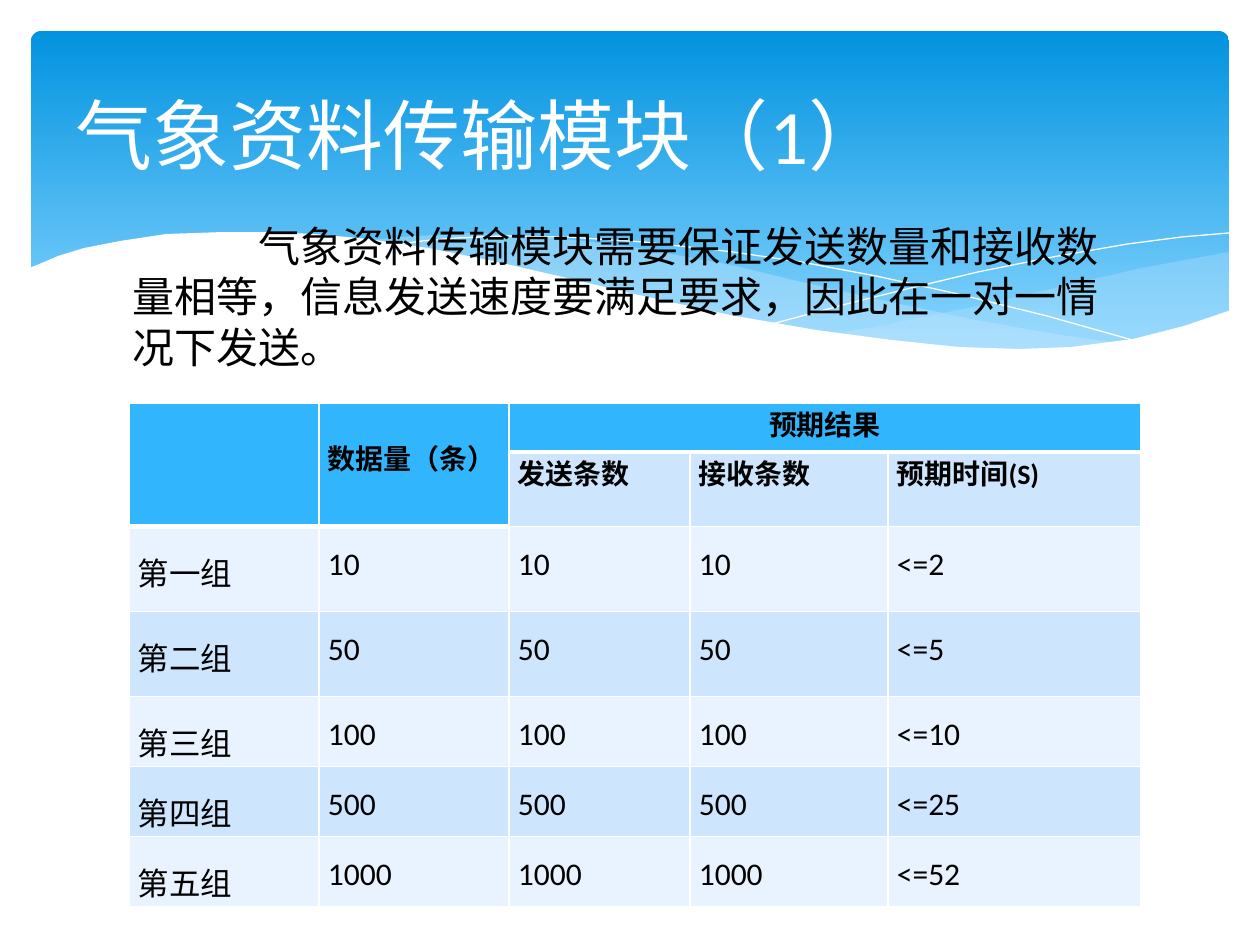
from lxml.etree import SubElement
from pptx import Presentation
from pptx.dml.color import RGBColor
from pptx.enum.shapes import MSO_SHAPE
from pptx.enum.text import MSO_ANCHOR, PP_ALIGN
from pptx.oxml import parse_xml
from pptx.oxml.ns import nsdecls, qn
from pptx.util import Pt

EMU_PER_PX = 914400 / 126
FONT = "Calibri"
WHITE = RGBColor(0xFF, 0xFF, 0xFF)
BLACK = RGBColor(0, 0, 0)
SKY_DARK = RGBColor(0x02, 0x93, 0xE0)
SKY_LIGHT = RGBColor(0x83, 0xD3, 0xFE)
WAVE_BLUE = RGBColor(0xC6, 0xE7, 0xFC)
HEADER_BLUE = RGBColor(0x31, 0xB6, 0xFD)
BAND_DARK = RGBColor(0xCE, 0xE5, 0xFE)
BAND_LIGHT = RGBColor(0xE8, 0xF3, 0xFF)

RIGHT_WAVE = [
    (1229, 252), (1142, 268), (1085, 281), (982, 305), (890, 324), (833, 334),
    (888, 341), (939, 346), (1012, 350), (1076, 348), (1130, 340),
    (1178, 330), (1229, 311)]
MIDDLE_WAVE = [
    (1125, 344), (1055, 334), (976, 320), (890, 302), (793, 280), (736, 266),
    (682, 256), (633, 247), (557, 238), (479, 233), (413, 236), (360, 241),
    (431, 251), (509, 266), (566, 280), (668, 302), (757, 321), (838, 335),
    (910, 345), (974, 349), (1031, 350), (1080, 349)]
FALLING_CURVE = [
    (389, 246), (422, 241), (457, 238), (505, 236), (567, 237), (643, 242),
    (733, 252), (801, 262), (876, 276), (958, 294), (1047, 316), (1143, 343)]
RISING_CURVE = [
    (772, 324), (847, 304), (907, 289), (978, 272), (1053, 257), (1128, 244),
    (1182, 237), (1229, 233)]
WHITE_WAVE = [
    (1231, 310), (1184, 326), (1133, 339), (1071, 347), (1019, 349),
    (959, 347), (892, 340), (816, 330), (730, 315), (634, 294), (563, 277),
    (493, 261), (428, 248), (368, 239), (315, 234), (266, 232), (223, 232),
    (166, 234), (120, 241), (84, 248), (58, 256), (37, 265), (29, 268),
    (29, 415), (1231, 415)]

COLUMN_WIDTHS = [190, 190, 181, 198, 253]
ROW_HEIGHTS = [49, 74, 85, 85, 70, 70, 70]
RESULT_HEADINGS = ["发送条数", "接收条数", "预期时间(S)"]
GROUPS = [("第一组", 10, 2), ("第二组", 50, 5), ("第三组", 100, 10),
          ("第四组", 500, 25), ("第五组", 1000, 52)]


def px(value):
    return round(value * EMU_PER_PX)


def style_para(para, size, color, bold=False):
    para.font.name = FONT
    para.font.size = Pt(size)
    para.font.bold = bold
    para.font.color.rgb = color


def add_sky(slide):
    sky = slide.shapes.add_shape(
        MSO_SHAPE.ROUNDED_RECTANGLE, px(31), px(31), px(1198), px(340))
    sky.shadow.inherit = False
    sky.adjustments[0] = 0.03
    sky.line.fill.background()
    sky.fill.gradient()
    sky.fill.gradient_angle = 270
    stops = zip(sky.fill.gradient_stops, [(0, SKY_DARK), (0.9, SKY_LIGHT)])
    for stop, (position, color) in stops:
        stop.position = position
        stop.color.rgb = color


def add_outline(slide, points, closed):
    builder = slide.shapes.build_freeform(*points[0], scale=EMU_PER_PX)
    builder.add_line_segments(points[1:], close=closed)
    outline = builder.convert_to_shape()
    outline.shadow.inherit = False
    return outline


def add_wave(slide, points, color, opacity=100):
    wave = add_outline(slide, points, closed=True)
    wave.line.fill.background()
    wave.fill.solid()
    wave.fill.fore_color.rgb = color
    if opacity < 100:
        color_element = wave.element.spPr.find(".//" + qn("a:srgbClr"))
        SubElement(color_element, qn("a:alpha"), val=str(opacity * 1000))


def add_curve(slide, points):
    curve = add_outline(slide, points, closed=False)
    curve.fill.background()
    curve.line.color.rgb = WHITE
    curve.line.width = Pt(0)


def place_title(slide, text):
    """Fill the title and bring it in front of the sky."""
    title = slide.shapes.title
    title.left, title.top, title.width, title.height = map(
        px, (63, 47, 1134, 173))
    title.text = text
    title.text_frame.vertical_anchor = MSO_ANCHOR.MIDDLE
    para = title.text_frame.paragraphs[0]
    para.alignment = PP_ALIGN.LEFT
    style_para(para, 44, WHITE)
    slide.shapes.element.append(title.element)


def set_borders(cell, top, bottom):
    properties = cell._tc.get_or_add_tcPr()
    edges = [("lnL", 1), ("lnR", 1), ("lnT", top), ("lnB", bottom)]
    for index, (edge, width) in enumerate(edges):
        properties.insert(index, parse_xml(
            f'<a:{edge} {nsdecls("a")} w="{Pt(width)}"><a:solidFill>'
            f'<a:srgbClr val="{WHITE}"/></a:solidFill></a:{edge}>'))


def fill_cell(cell, text, heading):
    cell.margin_left = cell.margin_right = px(9)
    cell.margin_top = cell.margin_bottom = 0
    para = cell.text_frame.paragraphs[0]
    para.text = text
    para.alignment = PP_ALIGN.JUSTIFY
    style_para(para, 16 if heading else 18, BLACK, heading)
    if not heading:
        para.line_spacing = 1.5


def add_results_table(slide):
    rows = [["", "数据量（条）", "预期结果", "", ""], ["", "", *RESULT_HEADINGS]]
    for group, count, seconds in GROUPS:
        rows.append([group, *[str(count)] * 3, f"<={seconds}"])
    table = slide.shapes.add_table(
        len(rows), len(COLUMN_WIDTHS), px(129), px(403),
        px(sum(COLUMN_WIDTHS)), px(sum(ROW_HEIGHTS))).table
    for column, width in zip(table.columns, COLUMN_WIDTHS):
        column.width = px(width)
    for row, height in zip(table.rows, ROW_HEIGHTS):
        row.height = px(height)

    for r, texts in enumerate(rows):
        for c, text in enumerate(texts):
            cell = table.cell(r, c)
            header_rows = 2 if c < 2 else 1
            fill_cell(cell, text, heading=r < 2)
            cell.fill.solid()
            band = BAND_DARK if r % 2 else BAND_LIGHT
            cell.fill.fore_color.rgb = HEADER_BLUE if r < header_rows else band
            set_borders(cell, top=3 if r == header_rows else 1,
                        bottom=3 if r == header_rows - 1 else 1)

    table.cell(0, 0).merge(table.cell(1, 0))
    table.cell(0, 1).merge(table.cell(1, 1))
    table.cell(0, 2).merge(table.cell(0, 4))
    table.cell(0, 1).margin_top = px(34)
    table.cell(0, 2).text_frame.paragraphs[0].alignment = PP_ALIGN.CENTER


def add_description(slide, text):
    box = slide.shapes.add_textbox(px(120), px(214), px(1021), px(169))
    box.text_frame.word_wrap = True
    para = box.text_frame.paragraphs[0]
    para.text = text
    style_para(para, 24, BLACK)
    para._p.get_or_add_pPr().set("indent", str(px(126)))


def main():
    deck = Presentation()
    deck.slide_width, deck.slide_height = px(1260), px(945)
    slide = deck.slides.add_slide(deck.slide_layouts[5])
    add_sky(slide)
    add_wave(slide, RIGHT_WAVE, WAVE_BLUE, opacity=29)
    add_wave(slide, MIDDLE_WAVE, WAVE_BLUE, opacity=40)
    add_curve(slide, FALLING_CURVE)
    add_curve(slide, RISING_CURVE)
    add_wave(slide, WHITE_WAVE, WHITE)
    place_title(slide, "气象资料传输模块（1）")
    add_results_table(slide)
    add_description(slide, "气象资料传输模块需要保证发送数量和接收数量相等，"
                           "信息发送速度要满足要求，因此在一对一情况下发送。")
    deck.save("out.pptx")


if __name__ == "__main__":
    main()
